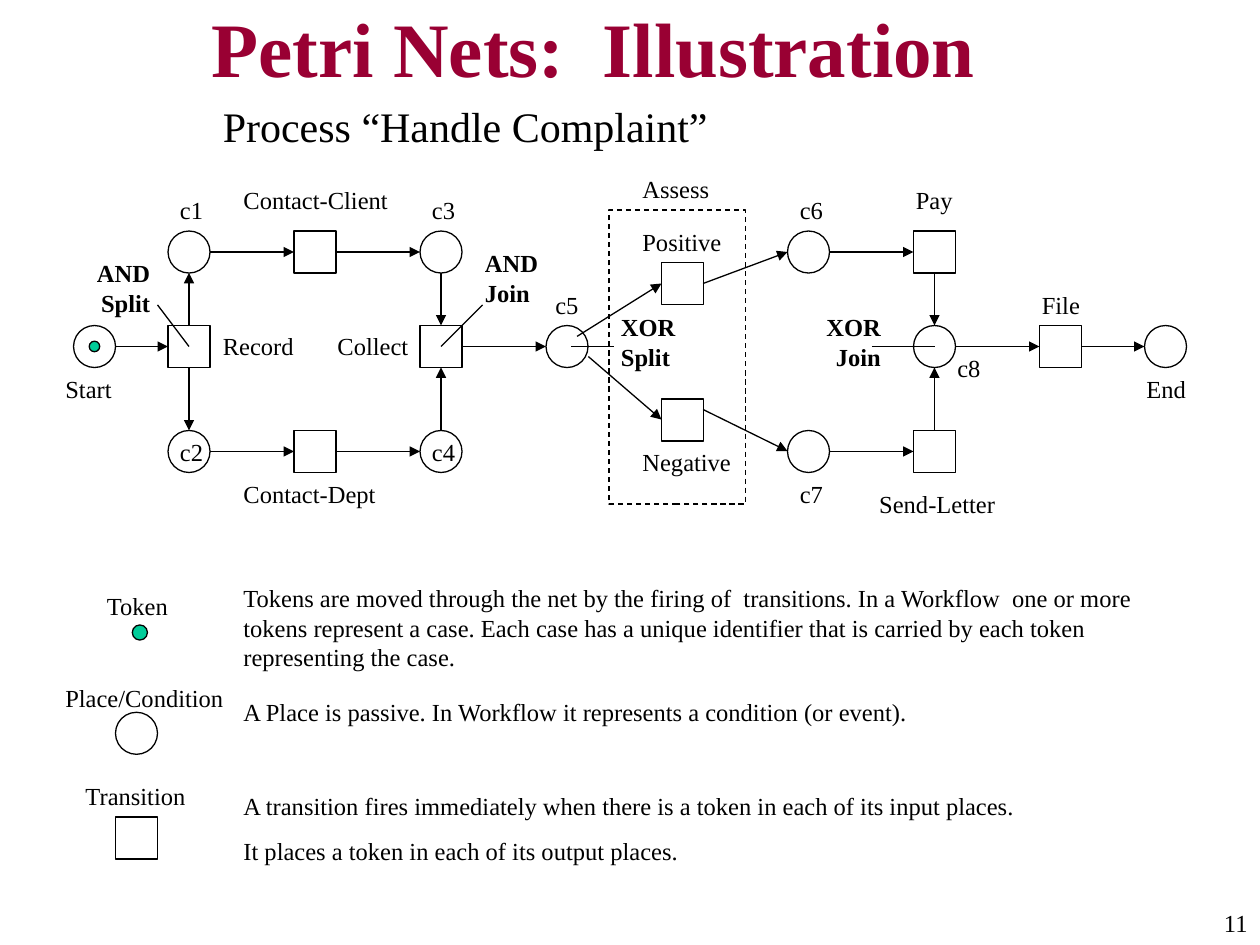
from pptx import Presentation
from pptx.dml.color import RGBColor
from pptx.enum.dml import MSO_LINE
from pptx.enum.shapes import MSO_CONNECTOR, MSO_SHAPE
from pptx.enum.text import MSO_ANCHOR, PP_ALIGN
from pptx.oxml.ns import qn
from pptx.util import Inches, Pt
from lxml.etree import SubElement

FONT = "Times New Roman"
BLACK, CRIMSON, GREEN = "000000", "990033", "00CC99"
LEFT, RIGHT = PP_ALIGN.LEFT, PP_ALIGN.RIGHT

# The net lies on a grid of twelfths of an inch
UNIT = 1 / 12
NODE, TOKEN = 4 * UNIT, UNIT
TOP, MIDDLE, BOTTOM = 2, 2.75, 43 * UNIT
ASSESS, CHOICE, JOIN, FILE = (x * UNIT for x in (65, 77, 89, 101))
LEGEND = 13 * UNIT
TEXT_LEFT = 22 * UNIT

# Centres of the nodes
PLACES = {
    "start": (0.75, MIDDLE), "c1": (1.5, TOP), "c2": (1.5, BOTTOM),
    "c3": (3.5, TOP), "c4": (3.5, BOTTOM), "c5": (4.5, MIDDLE),
    "c6": (CHOICE, TOP), "c7": (CHOICE, BOTTOM), "c8": (JOIN, MIDDLE),
    "end": (9.25, MIDDLE), "legend place": (LEGEND, 5.82),
}
TRANSITIONS = {
    "record": (1.5, MIDDLE), "client": (2.5, TOP), "dept": (2.5, BOTTOM),
    "collect": (3.5, MIDDLE), "positive": (ASSESS, 2.25),
    "negative": (ASSESS, 40 * UNIT), "pay": (JOIN, TOP), "letter": (JOIN, BOTTOM),
    "file": (FILE, MIDDLE), "legend transition": (LEGEND, 6.65),
}
TOKENS = [(0.75, MIDDLE, TOKEN), (1.11, 5.02, 0.12)]

STRAIGHT_FLOWS = [
    ("start", "record"), ("record", "c1"), ("record", "c2"),
    ("c1", "client"), ("client", "c3"), ("c2", "dept"), ("dept", "c4"),
    ("c3", "collect"), ("c4", "collect"), ("collect", "c5"),
    ("c6", "pay"), ("c7", "letter"), ("pay", "c8"), ("letter", "c8"),
    ("c8", "file"), ("file", "end"),
]
SLANTED_FLOWS = [
    ((4.58, 2.67), (5.25, 2.25)), ((4.67, 2.83), (5.25, 3.33)),
    ((5.58, 2.25), (6.25, 2)), ((5.58, 3.25), (6.25, 3.58)),
]
POINTERS = [
    ((1.25, 2.42), (1.5, 2.75)), ((3.83, 2.42), (3.5, 2.75)),
    ((4.87, 2.75), (4.53, 2.75)), ((6.92, 2.75), (7.42, 2.75)),
]

# Text, left, top, width
LABELS = [
    ("Start", 0.42, 2.92, 0.58), ("End", 9, 2.92, 0.58),
    ("Contact-Client", TEXT_LEFT, 1.42, 1.58),
    ("Contact-Dept", TEXT_LEFT, 3.75, 1.58),
    ("Record", 1.67, 2.58, 0.83), ("Collect", 2.58, 2.58, 0.83),
    ("Assess", 5, 1.33, 0.83), ("Positive", 5, 1.75, 0.83),
    ("Negative", 5, 3.5, 0.92), ("Pay", 7.17, 1.42, 0.67),
    ("Send-Letter", 6.88, 3.83, 1.17), ("File", 8.17, 2.25, 0.67),
    ("c1", 1.33, 1.5, 0.5), ("c2", 1.33, 3.42, 0.5),
    ("c3", 3.33, 1.5, 0.5), ("c4", 3.33, 3.42, 0.5),
    ("c5", 4.31, 2.25, 0.5), ("c6", 6.25, 1.5, 0.5),
    ("c7", 6.25, 3.75, 0.5), ("c8", 7.5, 2.75, 0.5),
    ("Token", 0.75, 4.64, 0.75), ("Place/Condition", 0.42, 5.37, 1.5),
    ("Transition", 0.58, 6.15, 1.08),
]
GATES = [
    ("AND Split", 0.54, 2, 0.75, RIGHT), ("AND Join", 3.75, 1.92, 0.75, LEFT),
    ("XOR Split", 4.83, 2.43, 0.67, LEFT), ("XOR Join", 6.42, 2.43, 0.67, RIGHT),
]
# Paragraphs, top, width, height
EXPLANATIONS = [
    (["Tokens are moved through the net by the firing of  transitions. "
      "In a Workflow  one or more tokens represent a case. Each case has a "
      "unique identifier that is carried by each token representing the case."],
     4.58, 7.67, 0.8),
    (["A Place is passive. In Workflow it represents a condition (or event)."],
     5.48, 5.67, 0.34),
    (["A transition fires immediately when there is a token in each of its "
      "input places.", "It places a token in each of its output places."],
     6.23, 6.42, 0.69),
]


def color(value):
    return RGBColor.from_string(value)


def add_text(page, paragraphs, left, top, width, height, size=14, bold=False,
             ink=BLACK, align=LEFT, anchor=MSO_ANCHOR.TOP):
    box = page.shapes.add_textbox(*map(Inches, (left, top, width, height)))
    frame = box.text_frame
    frame.word_wrap = True
    frame.vertical_anchor = anchor
    frame.text = "\n".join(paragraphs)
    for para in frame.paragraphs:
        para.alignment = align
        para.space_before = Pt(8.8)
        font = para.runs[0].font
        for name, value in {"name": FONT, "size": Pt(size), "bold": bold}.items():
            setattr(font, name, value)
        font.color.rgb = color(ink)


def style_line(line):
    line.color.rgb = color(BLACK)
    line.width = Pt(0.75)


def add_outline(page, kind, center, width, height, fill=None):
    x, y = center
    shape = page.shapes.add_shape(kind, Inches(x - width / 2), Inches(y - height / 2),
                                  Inches(width), Inches(height))
    shape.shadow.inherit = False
    if fill:
        shape.fill.solid()
        shape.fill.fore_color.rgb = color(fill)
    else:
        shape.fill.background()
    style_line(shape.line)
    return shape


def add_line(page, start, end, arrow=False):
    line = page.shapes.add_connector(MSO_CONNECTOR.STRAIGHT,
                                     *map(Inches, (*start, *end)))
    style_line(line.line)
    if arrow:
        SubElement(line.line._get_or_add_ln(), qn("a:tailEnd"), type="triangle")
    SubElement(line._element.spPr, qn("a:effectLst"))


def facing_edges(start, end):
    """Return the points where a level or upright flow leaves and enters its nodes."""
    steps = [((b > a) - (b < a)) * NODE / 2 for a, b in zip(start, end)]
    return (tuple(a + step for a, step in zip(start, steps)),
            tuple(b - step for b, step in zip(end, steps)))


def main():
    deck = Presentation()
    deck.slide_width, deck.slide_height = Inches(10), Inches(7.5)
    page = deck.slides.add_slide(deck.slide_layouts[6])

    add_text(page, ["Petri Nets:  Illustration"], 19 * UNIT, 0.08, 8.41, 0.58,
             size=44, bold=True, ink=CRIMSON, anchor=MSO_ANCHOR.MIDDLE)
    add_text(page, ["Process “Handle Complaint”"], 1.67, 0.75, 4.17, 0.5, size=24)
    add_text(page, ["11"], 8.58, 7.16, 1.42, 0.33, align=RIGHT)

    for kind, nodes in ((MSO_SHAPE.OVAL, PLACES), (MSO_SHAPE.RECTANGLE, TRANSITIONS)):
        for center in nodes.values():
            add_outline(page, kind, center, NODE, NODE)
    for x, y, size in TOKENS:
        add_outline(page, MSO_SHAPE.OVAL, (x, y), size, size, GREEN)
    assess = add_outline(page, MSO_SHAPE.RECTANGLE, (5.375, 34 * UNIT),
                         13 * UNIT, 28 * UNIT)
    assess.line.dash_style = MSO_LINE.DASH

    nodes = PLACES | TRANSITIONS
    flows = [facing_edges(nodes[a], nodes[b]) for a, b in STRAIGHT_FLOWS]
    for start, end in flows + SLANTED_FLOWS:
        add_line(page, start, end, arrow=True)
    for start, end in POINTERS:
        add_line(page, start, end)

    for text, left, top, width in LABELS:
        add_text(page, [text], left, top, width, 0.34)
    for text, left, top, width, align in GATES:
        add_text(page, [text], left, top, width, 0.57, bold=True, align=align)
    for paragraphs, top, width, height in EXPLANATIONS:
        add_text(page, paragraphs, TEXT_LEFT, top, width, height)

    deck.save("out.pptx")


if __name__ == "__main__":
    main()
